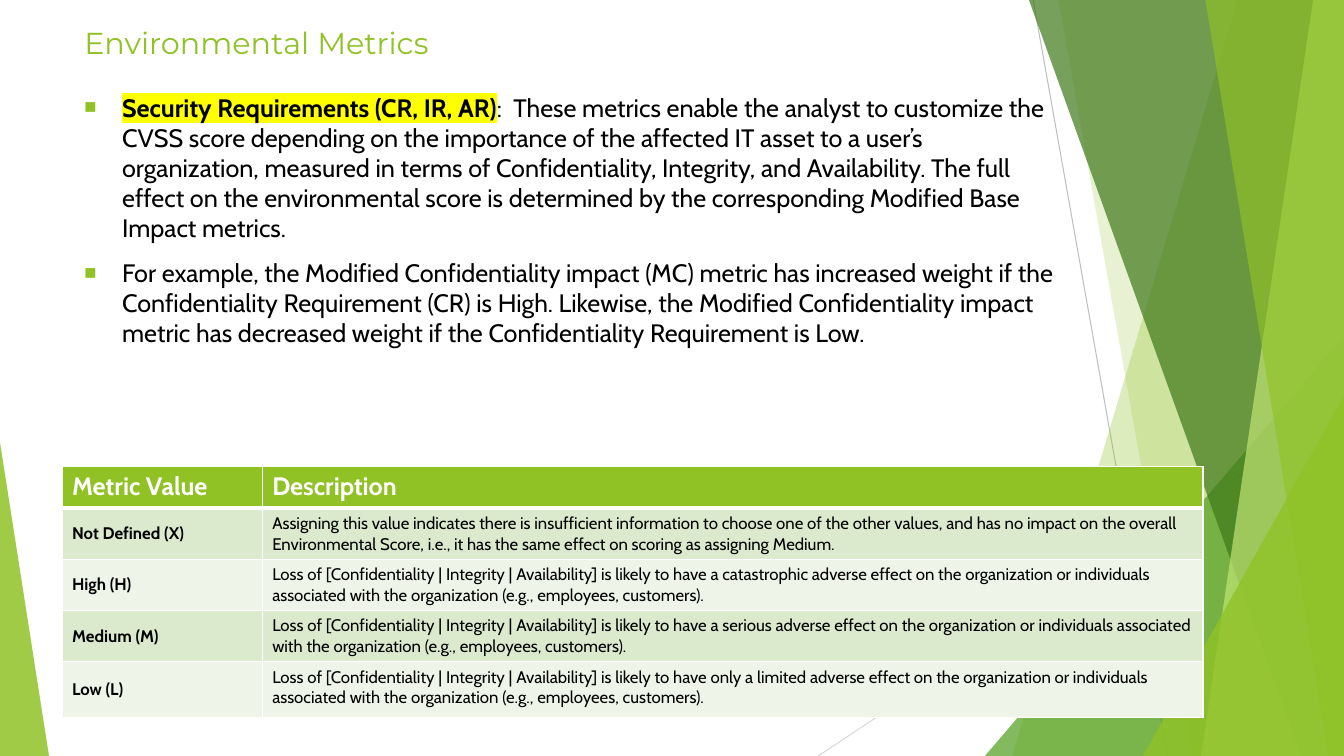
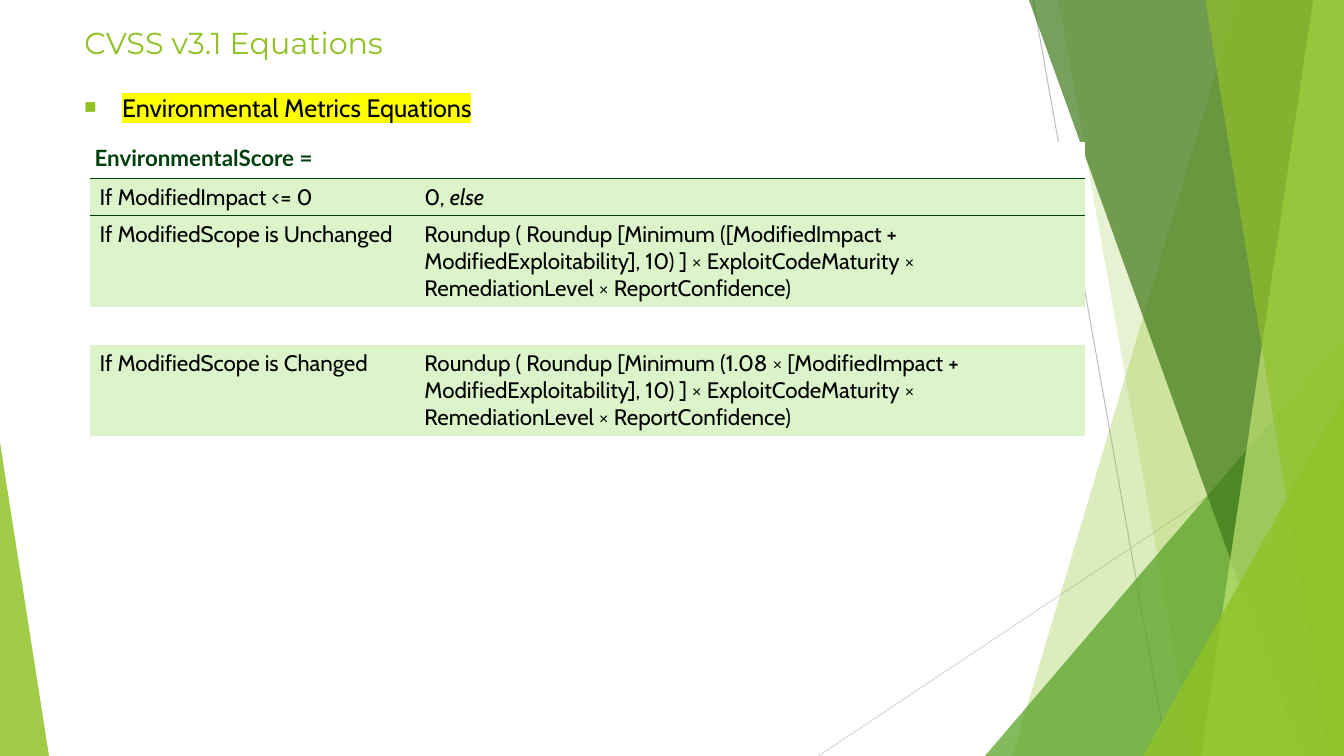
from lxml.etree import SubElement
from pptx import Presentation
from pptx.dml.color import RGBColor
from pptx.enum.shapes import MSO_CONNECTOR as Connector, MSO_SHAPE as Preset
from pptx.enum.text import MSO_ANCHOR as Anchor, MSO_AUTO_SIZE as AutoSize, PP_ALIGN as Align
from pptx.oxml.ns import qn
from pptx.util import Pt

WIDTH, HEIGHT = 960, 540
GREEN, BLACK, WHITE = "90C226", "000000", "FFFFFF"
YELLOW, FOREST, PALE_GREEN = "FFFF00", "00400D", "DBF4CA"
BAND_DARK, BAND_LIGHT = "DBE9CD", "EEF4E8"
TITLE_FONT, TEXT_FONT, SCORE_FONT = "Montserrat", "Cabin", "Lato"
NO_TABLE_STYLE = "{2D5ABB26-0587-4C30-8999-92F81FD0307C}"

EFFECT = (
    "Loss of [Confidentiality | Integrity | Availability] is likely to have {} adverse effect on "
    "the organization or individuals associated with the organization (e.g., employees, customers)."
)
METRIC_ROWS = [
    ("Not Defined (X)",
     "Assigning this value indicates there is insufficient information to choose one of the other "
     "values, and has no impact on the overall Environmental Score, i.e., it has the same effect on "
     "scoring as assigning Medium."),
    ("High (H)", EFFECT.format("a catastrophic")),
    ("Medium (M)", EFFECT.format("a serious")),
    ("Low (L)", EFFECT.format("only a limited")),
]
SCORE = (
    "Roundup ( Roundup [Minimum ({}[ModifiedImpact + ModifiedExploitability], 10) ] "
    "× ExploitCodeMaturity × RemediationLevel × ReportConfidence)"
)
SCORE_ROWS = [
    ("If ModifiedImpact <= 0", [("0, ", ""), ("else", "i")]),
    ("If ModifiedScope is Unchanged", SCORE.format("")),
    None,
    ("If ModifiedScope is Changed", SCORE.format("1.08 × ")),
]


def rgb(value):
    return RGBColor.from_string(value)


def place(shape, left, top, width, height):
    shape.left, shape.top, shape.width, shape.height = map(Pt, (left, top, width, height))


def add_colour(parent, tag, value):
    SubElement(SubElement(parent, qn(tag)), qn("a:srgbClr"), val=value)


def write(para, content, size, colour=BLACK, font=TEXT_FONT, bold=False):
    spans = [(content, "")] if isinstance(content, str) else content
    for text, marks in spans:
        span = para.add_run()
        span.text = text
        if "b" in marks:
            span.font.bold = True
        if "i" in marks:
            span.font.italic = True
        if "h" in marks:
            add_colour(span._r.get_or_add_rPr(), "a:highlight", YELLOW)
    para.font.size = Pt(size)
    para.font.name = font
    para.font.bold = bold
    para.font.color.rgb = rgb(colour)


def finish(shape, colour, opacity):
    shape.shadow.inherit = False
    shape.fill.solid()
    shape.fill.fore_color.rgb = rgb(colour)
    shape.line.fill.background()
    tint = shape.element.spPr.find(qn("a:solidFill"))[0]
    SubElement(tint, qn("a:alpha"), val=str(opacity * 1000))


def add_slab(page, top_x, bottom_x, colour, opacity):
    builder = page.shapes.build_freeform(Pt(top_x), 0)
    corners = [(WIDTH, 0), (WIDTH, HEIGHT), (bottom_x, HEIGHT)]
    builder.add_line_segments([(Pt(x), Pt(y)) for x, y in corners])
    finish(builder.convert_to_shape(), colour, opacity)


def add_wedge(page, left, top, width, apex, colour, opacity):
    wedge = page.shapes.add_shape(
        Preset.ISOSCELES_TRIANGLE, Pt(left), Pt(top), Pt(width), Pt(HEIGHT - top))
    wedge.adjustments[0] = apex
    finish(wedge, colour, opacity)


def add_hairline(page, start, end, colour):
    line = page.shapes.add_connector(Connector.STRAIGHT, *map(Pt, start + end))
    line.line.color.rgb = rgb(colour)
    line.line.width = Pt(0.75)
    SubElement(line.element.spPr, qn("a:effectLst"))


def draw_backdrop(page):
    add_hairline(page, (738, 0), (834, HEIGHT), "BFBFBF")
    add_hairline(page, (WIDTH, 290), (584.5, HEIGHT), "D9D9D9")
    add_slab(page, 884, 723, GREEN, 30)
    add_slab(page, 756, 852, GREEN, 20)
    add_wedge(page, 703.5, 240, 256.5, 1, "54A021", 72)
    add_slab(page, 735, 929.5, "3F7819", 70)
    add_slab(page, 938, 858, "C0E474", 70)
    add_slab(page, 861, 949, GREEN, 65)
    add_wedge(page, 816.5, 283, 143.5, 1, GREEN, 80)
    add_wedge(page, 0, 316, 35, 0, GREEN, 85)


def prepare_layout(deck):
    layout = deck.slide_layouts[1]
    for holder in list(layout.placeholders)[2:]:
        holder.element.getparent().remove(holder.element)
    place(layout.placeholders[0], 53, 13, 677, 34)
    return layout


def move_to_layout(page, layout):
    first_holder = layout.placeholders[0].element
    for shape in list(page.shapes):
        if not shape.is_placeholder:
            first_holder.addprevious(shape.element)


def fill_title(page, text):
    frame = page.shapes.title.text_frame
    frame.auto_size = AutoSize.NONE
    frame.vertical_anchor = Anchor.MIDDLE
    frame.paragraphs[0].alignment = Align.LEFT
    write(frame.paragraphs[0], text, 21.6, GREEN, TITLE_FONT)


def add_bullet(para):
    properties = para._p.get_or_add_pPr()
    properties.set("marL", str(Pt(27)))
    properties.set("indent", str(Pt(-27)))
    add_colour(properties, "a:buClr", GREEN)
    SubElement(properties, qn("a:buSzPct"), val="80000")
    SubElement(properties, qn("a:buChar"), char="■")


def fill_body(page, width, height, items):
    body = page.placeholders[1]
    place(body, 53, 62, width, height)
    frame = body.text_frame
    frame.auto_size = AutoSize.NONE
    frame.word_wrap = True
    for index, item in enumerate(items):
        para = frame.add_paragraph() if index else frame.paragraphs[0]
        add_bullet(para)
        para.space_before = Pt(10 if index else 0)
        write(para, item, 18)


def add_grid(page, left, top, columns, rows):
    frame = page.shapes.add_table(
        len(rows), len(columns), Pt(left), Pt(top), Pt(sum(columns)), Pt(sum(rows)))
    next(frame.element.iter(qn("a:tableStyleId"))).text = NO_TABLE_STYLE
    table = frame.table
    table.horz_banding = False
    for column, width in zip(table.columns, columns):
        column.width = Pt(width)
    for row, height in zip(table.rows, rows):
        row.height = Pt(height)
    return table


def paint(cell, colour, borders):
    properties = cell._tc.get_or_add_tcPr()
    for side in "LRTB":
        if side in borders:
            line_colour, width = borders[side]
            edge = SubElement(properties, qn("a:ln" + side), w=str(Pt(width)))
            add_colour(edge, "a:solidFill", line_colour)
    cell.fill.solid()
    cell.fill.fore_color.rgb = rgb(colour)


def tighten(cell):
    cell.margin_left = cell.margin_right = Pt(3.6)
    cell.margin_top = cell.margin_bottom = Pt(1.44)


def add_metric_table(page):
    table = add_grid(page, 44.3, 333, (143, 672), (30, 36.5, 36.5, 36.5, 40))
    thin = dict.fromkeys("LRTB", (WHITE, 1))
    for cell, text in zip(table.rows[0].cells, ("Metric Value", "Description")):
        paint(cell, GREEN, {**thin, "B": (WHITE, 3)})
        write(cell.text_frame.paragraphs[0], text, 18, WHITE, bold=True)
    for number, texts in enumerate(METRIC_ROWS, 1):
        borders = {**thin, "T": (WHITE, 3)} if number == 1 else thin
        label, description = table.rows[number].cells
        label.vertical_anchor = Anchor.MIDDLE
        for cell, text in zip((label, description), texts):
            paint(cell, BAND_DARK if number % 2 else BAND_LIGHT, borders)
            write(cell.text_frame.paragraphs[0], text, 12, bold=cell is label)


def add_score_table(page):
    table = add_grid(page, 64, 101.5, (232, 479), (26, 26.5, 65, 27, 65))
    rule = (FOREST, 1)
    for cell in table.rows[0].cells:
        tighten(cell)
        paint(cell, WHITE, {"B": rule})
    write(table.cell(0, 0).text_frame.paragraphs[0], "EnvironmentalScore =", 16,
          FOREST, SCORE_FONT, bold=True)
    for number, texts in enumerate(SCORE_ROWS, 1):
        borders = {"T": rule} if number == 1 else {}
        for index, cell in enumerate(table.rows[number].cells):
            paint(cell, PALE_GREEN if texts else WHITE, borders)
            if texts:
                write(cell.text_frame.paragraphs[0], texts[index], 16)
            else:
                tighten(cell)


def main():
    deck = Presentation()
    deck.slide_width, deck.slide_height = Pt(WIDTH), Pt(HEIGHT)
    layout = prepare_layout(deck)

    metrics = deck.slides.add_slide(layout)
    draw_backdrop(metrics)
    move_to_layout(metrics, layout)
    fill_title(metrics, "Environmental Metrics")
    fill_body(metrics, 710, 240, [
        [("Security Requirements (CR, IR, AR)", "bh"),
         (":  These metrics enable the analyst to customize the CVSS score depending on the "
          "importance of the affected IT asset to a user’s organization, measured in terms of "
          "Confidentiality, Integrity, and Availability. The full effect on the environmental score "
          "is determined by the corresponding Modified Base Impact metrics.", "")],
        "For example, the Modified Confidentiality impact (MC) metric has increased weight if the "
        "Confidentiality Requirement (CR) is High. Likewise, the Modified Confidentiality impact "
        "metric has decreased weight if the Confidentiality Requirement is Low.",
    ])
    add_metric_table(metrics)

    equations = deck.slides.add_slide(layout)
    fill_title(equations, "CVSS v3.1 Equations")
    fill_body(equations, 700, 48, [[("Environmental Metrics Equations", "h")]])
    add_score_table(equations)

    deck.save("out.pptx")


if __name__ == "__main__":
    main()
